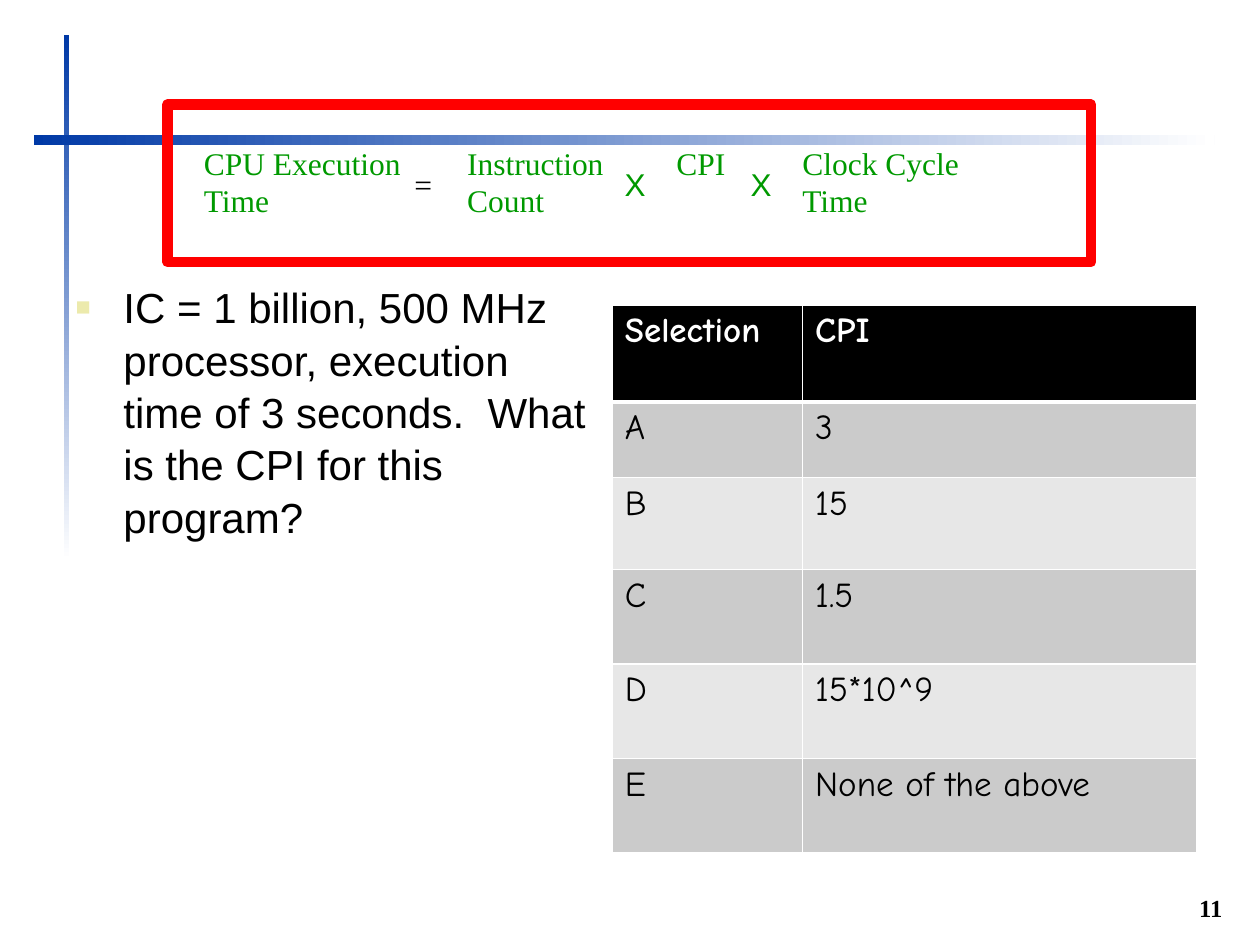
from lxml.etree import SubElement
from pptx import Presentation
from pptx.dml.color import RGBColor
from pptx.enum.shapes import MSO_SHAPE
from pptx.enum.text import MSO_ANCHOR, MSO_AUTO_SIZE, PP_ALIGN
from pptx.oxml.ns import qn
from pptx.util import Inches, Pt

BLUE, GREEN, RED = "0039A6", "009900", "FF0000"
BLACK, WHITE, DARK_BAND, LIGHT_BAND = "000000", "FFFFFF", "CBCBCB", "E7E7E7"
BULLET = "ECEAAC"
SERIF, SANS, HAND = "Times New Roman", "Arial", "Comic Neue"


def color(value):
    return RGBColor.from_string(value)


def inches(*lengths):
    return [Inches(length) for length in lengths]


def write(frame, text, size, font, fill, bold=False):
    """Put one styled run into the first paragraph of a frame."""
    para = frame.paragraphs[0]
    span = para.add_run()
    span.text = text
    for name, value in {"size": Pt(size), "name": font, "bold": bold}.items():
        setattr(span.font, name, value)
    span.font.color.rgb = color(fill)
    return para


def add_label(shapes, box, text, size, font, fill, wrap=True, bold=False):
    frame = shapes.add_textbox(*inches(*box)).text_frame
    frame.word_wrap = wrap
    write(frame, text, size, font, fill, bold)
    return frame


def add_fading_bar(page, box, angle):
    bar = page.shapes.add_shape(MSO_SHAPE.RECTANGLE, *inches(*box))
    bar.shadow.inherit = False
    bar.line.fill.background()
    bar.fill.gradient()
    bar.fill.gradient_angle = angle
    for stop, value in zip(bar.fill.gradient_stops, (BLUE, WHITE)):
        stop.color.rgb = color(value)


def add_equation(page, box):
    """Terms, operators between them, and the red frame around the box."""
    left, top, width, height = box
    group = page.shapes.add_group_shape()
    terms = [(0.19, "CPU Execution Time", 0.7), (2.28, "Instruction Count", 0.7),
             (3.94, "CPI", 0.4), (4.94, "Clock Cycle Time", 0.7)]
    for shift, text, tall in terms:
        add_label(group.shapes, (left + shift, top + 0.26, 1.76, tall),
                  text, 18, SERIF, GREEN)
    operators = [(1.86, "=", SERIF, BLACK), (3.53, "X", SANS, GREEN),
                 (4.53, "X", SANS, GREEN)]
    for shift, text, font, fill in operators:
        add_label(group.shapes, (left + shift, top + 0.43, 0.36, 0.4),
                  text, 18, font, fill, wrap=False)

    border = page.shapes.add_shape(MSO_SHAPE.RECTANGLE, *inches(*box))
    border.shadow.inherit = False
    border.fill.background()
    border.line.color.rgb = color(RED)
    border.line.width = Pt(6)


def add_question(page, body, box):
    for name, value in zip(("left", "top", "width", "height"), inches(*box)):
        setattr(body, name, value)
    page.shapes._spTree.append(body._element)  # in front of the bars
    frame = body.text_frame
    frame.auto_size = MSO_AUTO_SIZE.NONE
    para = write(frame, "IC = 1 billion, 500 MHz processor, execution time of "
                 "3 seconds.  What is the CPI for this program?", 24, SANS, BLACK)
    para.space_before = Pt(4.8)
    para.line_spacing = 1.04
    # Hanging square bullet
    props = para._p.get_or_add_pPr()
    props.set("marL", str(Inches(0.38)))
    props.set("indent", str(-Inches(0.38)))
    tint = SubElement(props, qn("a:buClr"))
    SubElement(tint, qn("a:srgbClr"), val=BULLET)
    SubElement(props, qn("a:buSzPct"), val="60000")
    SubElement(props, qn("a:buFont"), typeface=SANS)
    SubElement(props, qn("a:buChar"), char="■")


def style_cell(cell, fill, top, bottom):
    props = cell._tc.get_or_add_tcPr()
    for side, points in {"L": 1, "R": 1, "T": top, "B": bottom}.items():
        edge = SubElement(props, qn(f"a:ln{side}"), w=str(Pt(points)))
        paint = SubElement(edge, qn("a:solidFill"))
        SubElement(paint, qn("a:srgbClr"), val=WHITE)
    cell.fill.solid()
    cell.fill.fore_color.rgb = color(fill)


def add_choices(page, box):
    rows = [("Selection", "CPI"), ("A", "3"), ("B", "15"), ("C", "1.5"),
            ("D", "15*10^9"), ("E", "None of the above")]
    heights = inches(0.77, 0.6, 0.73, 0.75, 0.75, 0.75)
    table = page.shapes.add_table(len(rows), 2, *inches(*box)).table
    table.horz_banding = False
    for column, width in zip(table.columns, inches(1.51, 3.13)):
        column.width = width
    for index, (texts, height) in enumerate(zip(rows, heights)):
        table.rows[index].height = height
        header = index == 0
        band = BLACK if header else DARK_BAND if index % 2 else LIGHT_BAND
        for number, text in enumerate(texts):
            cell = table.cell(index, number)
            style_cell(cell, band, 3 if index == 1 else 1, 3 if header else 1)
            write(cell.text_frame, text, 20, HAND,
                  WHITE if header else BLACK, header)


def add_page_number(page, box):
    frame = add_label(page.shapes, box, "11", 14, SERIF, BLACK, bold=True)
    frame.vertical_anchor = MSO_ANCHOR.BOTTOM
    frame.paragraphs[0].alignment = PP_ALIGN.RIGHT


def main():
    deck = Presentation()
    deck.slide_width, deck.slide_height = inches(10, 7.5)
    page = deck.slides.add_slide(deck.slide_layouts[1])
    title, body = page.placeholders
    title._element.getparent().remove(title._element)

    # Crossed bars of the design
    add_fading_bar(page, (0.51, 0.28, 0.04, 4.17), 270)
    add_fading_bar(page, (0.27, 1.07, 9.37, 0.08), 0)
    # Content
    add_page_number(page, (1.85, 6.98, 7.95, 0.39))
    add_question(page, body, (0.5, 2.17, 4.33, 4.83))
    add_equation(page, (1.33, 0.83, 7.33, 1.25))
    add_choices(page, (4.86, 2.42, 4.64, 4.35))
    deck.save("out.pptx")


if __name__ == "__main__":
    main()
